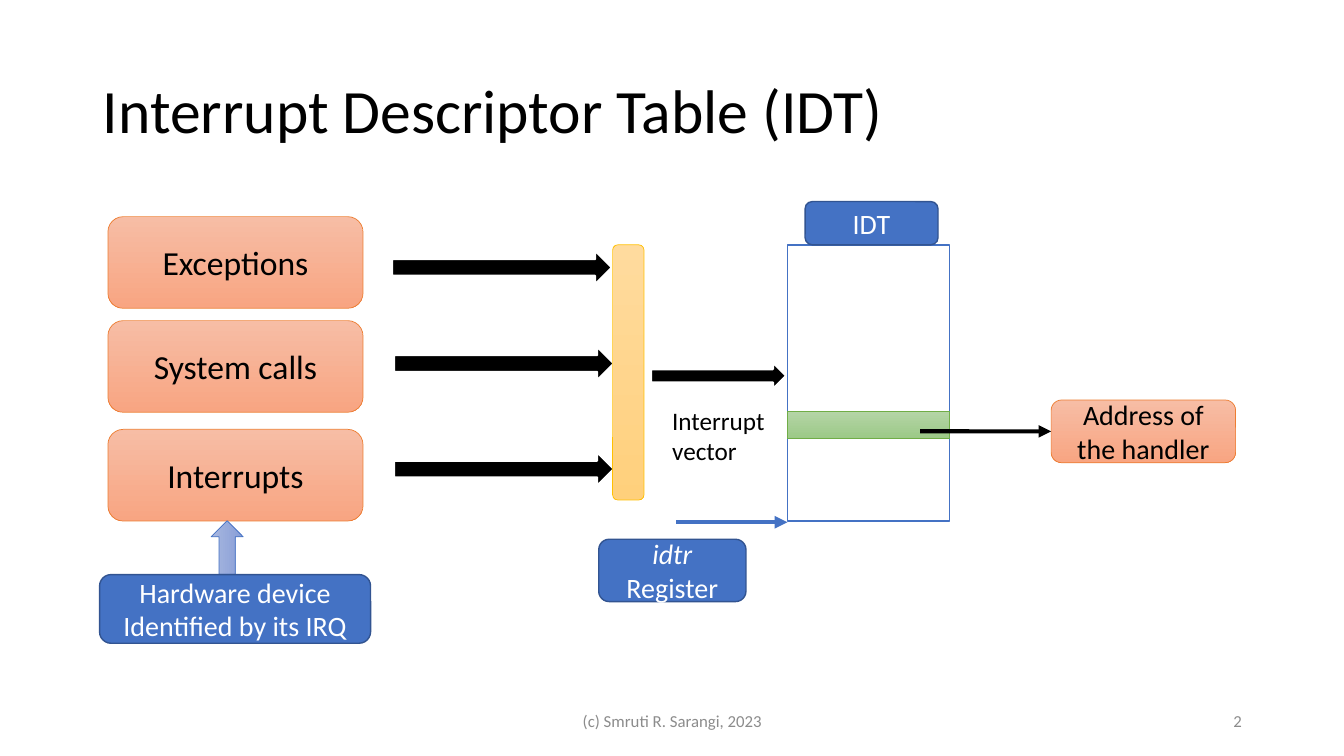
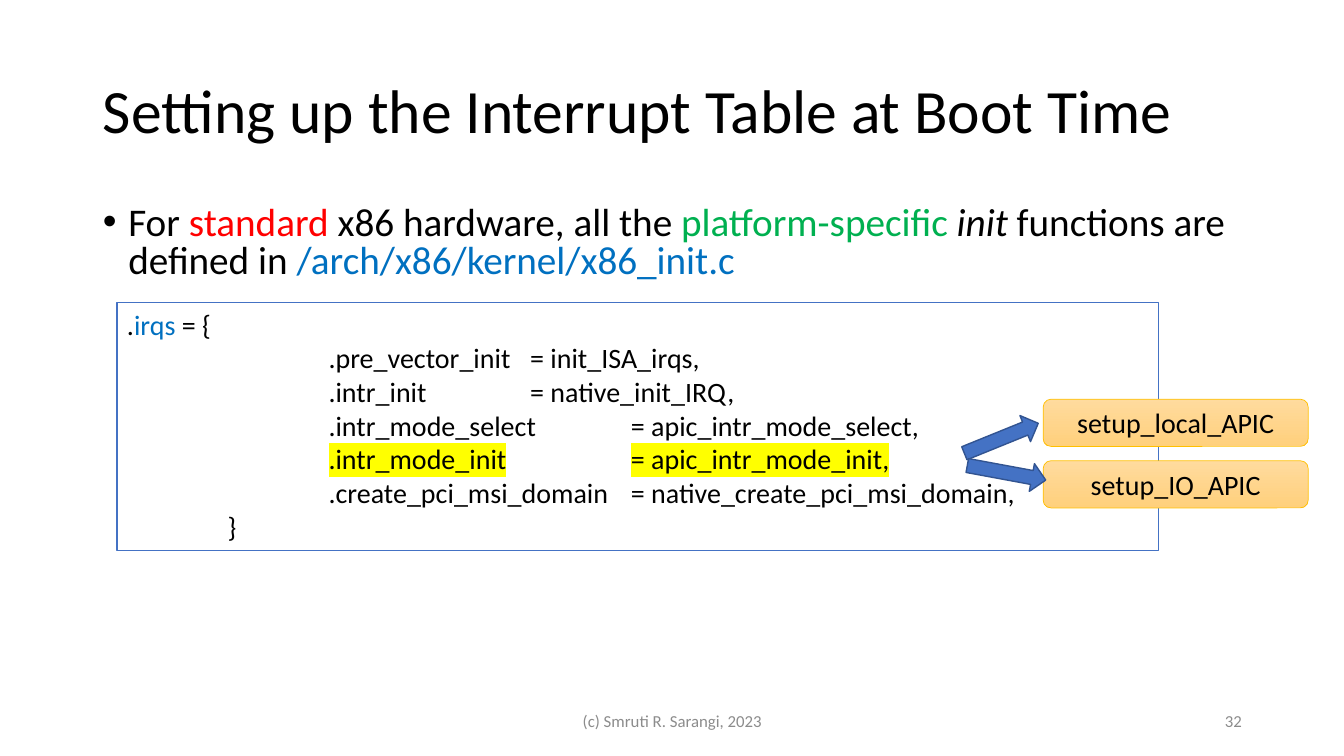
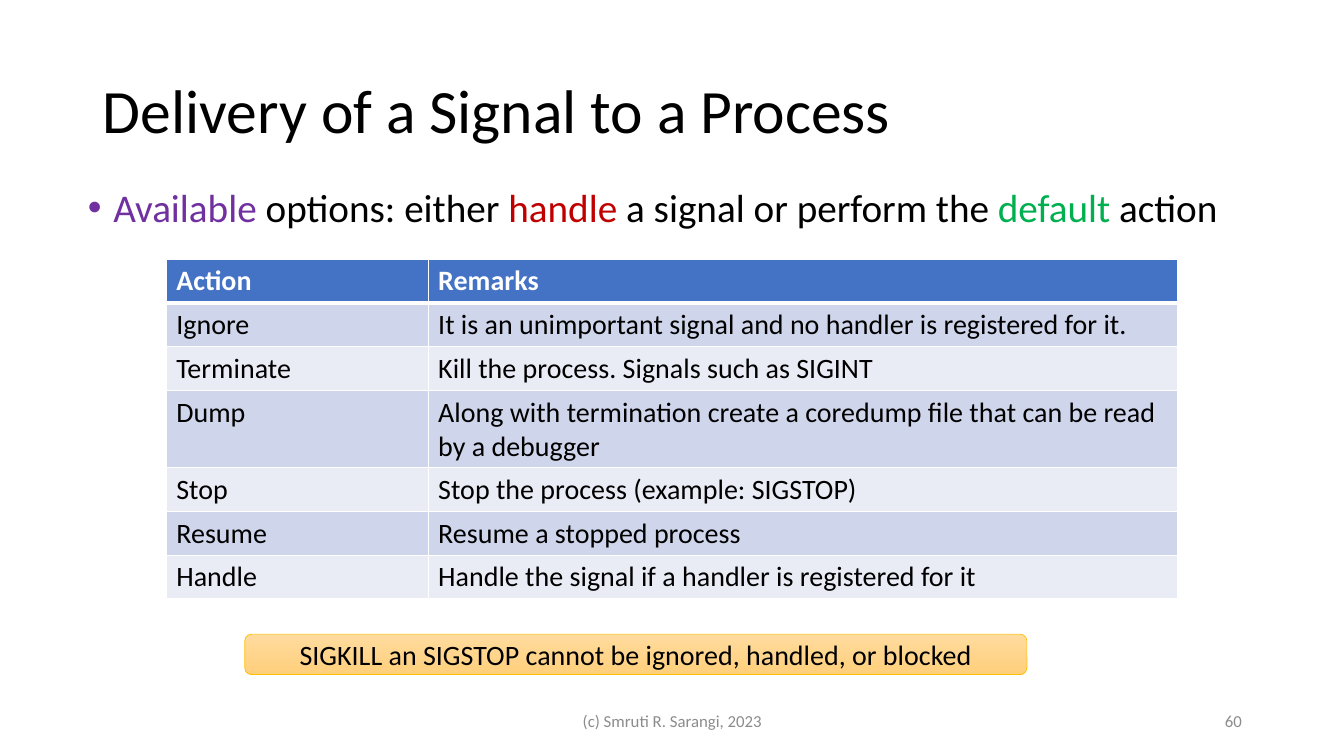
"""Builds three lecture slides on interrupts and signals."""
from lxml.etree import SubElement
from pptx import Presentation
from pptx.dml.color import RGBColor
from pptx.enum.shapes import MSO_CONNECTOR, MSO_SHAPE
from pptx.enum.text import MSO_ANCHOR, MSO_AUTO_SIZE, PP_ALIGN
from pptx.oxml.ns import qn
from pptx.util import Cm, Pt

FONT = "Calibri"
BLACK, WHITE, GREY = "000000", "FFFFFF", "8C8C8C"
BLUE, LINK, GREEN = "4472C4", "0070C0", "00B050"
STYLES = {
    "blue": ([BLUE], "325491", 1),
    "frame": ([WHITE], BLUE, 1),
    "black": ([BLACK], WHITE, 1.5),
    "orange": (["F7BDA5", "F8A582"], "ED7D31", 0.5),
    "yellow": (["FFDB9E", "FFD07C"], "FFC000", 0.5),
    "green": (["B5D5A7", "9CC987"], "70AD47", 0.5),
    "pale blue": (["A8B7DF", "889ED7"], BLUE, 0.5),
}
ROUND, RECT, ARROW = MSO_SHAPE.ROUNDED_RECTANGLE, MSO_SHAPE.RECTANGLE, MSO_SHAPE.RIGHT_ARROW


def add_runs(p, size, runs):
    for text, color, *marks in runs:
        r = p.add_run()
        r.text = text
        r.font.name = FONT
        r.font.size = Pt(size)
        r.font.bold = "bold" in marks
        r.font.italic = "italic" in marks
        r.font.color.rgb = RGBColor.from_string(color)


def add_box(s, kind, style, x, y, w, h, runs=(), size=20):
    colors, line, width = STYLES[style]
    sp = s.shapes.add_shape(kind, Cm(x), Cm(y), Cm(w), Cm(h))
    sp.shadow.inherit = False
    if len(colors) == 1:
        sp.fill.solid()
        sp.fill.fore_color.rgb = RGBColor.from_string(colors[0])
    else:
        sp.fill.gradient()
        sp.fill.gradient_angle = 270
        for stop, color in zip(sp.fill.gradient_stops, colors):
            stop.color.rgb = RGBColor.from_string(color)
    sp.line.color.rgb = RGBColor.from_string(line)
    sp.line.width = Pt(width)
    sp.text_frame.word_wrap = True
    sp.text_frame.vertical_anchor = MSO_ANCHOR.MIDDLE
    p = sp.text_frame.paragraphs[0]
    p.alignment = PP_ALIGN.CENTER
    add_runs(p, size, runs)
    return sp


prs = Presentation()
prs.slide_width, prs.slide_height = Cm(33.87), Cm(19.05)

for layout, title, number in [
    (5, "Interrupt Descriptor Table (IDT)", "2"),
    (1, "Setting up the Interrupt Table at Boot Time", "32"),
    (1, "Delivery of a Signal to a Process", "60"),
]:
    s = prs.slides.add_slide(prs.slide_layouts[layout])
    sp = s.shapes.title
    sp.left, sp.top, sp.width, sp.height = Cm(2.34), Cm(1.02), Cm(29.21), Cm(3.68)
    sp.text_frame.vertical_anchor = MSO_ANCHOR.MIDDLE
    p = sp.text_frame.paragraphs[0]
    p.alignment = PP_ALIGN.LEFT
    p.line_spacing = 0.9
    add_runs(p, 44, [(title, BLACK)])
    for x, w, align, text in [
        (11.23, 11.43, PP_ALIGN.CENTER, "(c) Smruti R. Sarangi, 2023"),
        (23.93, 7.62, PP_ALIGN.RIGHT, number),
    ]:
        tf = s.shapes.add_textbox(Cm(x), Cm(17.65), Cm(w), Cm(1.02)).text_frame
        tf.word_wrap = True
        tf.vertical_anchor = MSO_ANCHOR.MIDDLE
        tf.paragraphs[0].alignment = align
        add_runs(tf.paragraphs[0], 12, [(text, GREY)])

idt_slide, boot_slide, signal_slide = prs.slides

for s, x, y, h, spacing, runs in [
    (boot_slide, 2.34, 5.08, 2.36, 0.8, [
        ("For ", BLACK), ("standard", "FF0000"), (" x86 hardware, all the ", BLACK),
        ("platform-specific ", GREEN), ("init ", BLACK, "italic"),
        ("functions are defined in ", BLACK), ("/arch/x86/kernel/x86_init.c", LINK)]),
    (signal_slide, 1.96, 4.62, 1.52, 0.9, [
        ("Available", "7030A0"), (" options: either ", BLACK), ("handle", "C00000"),
        (" a signal or perform the ", BLACK), ("default", GREEN), (" action", BLACK)]),
]:
    sp = s.placeholders[1]
    sp.left, sp.top, sp.width, sp.height = Cm(x), Cm(y), Cm(29.21), Cm(h)
    sp.text_frame.auto_size = MSO_AUTO_SIZE.NONE
    p = sp.text_frame.paragraphs[0]
    p.line_spacing = spacing
    p.space_before = Pt(0)
    pPr = p._p.get_or_add_pPr()
    pPr.set("marL", str(Cm(0.64)))
    pPr.set("indent", str(-Cm(0.64)))
    SubElement(pPr, qn("a:buChar"), char="•")
    add_runs(p, 28, runs)

s = idt_slide
add_box(s, RECT, "frame", 19.84, 6.17, 4.09, 6.96)
add_box(s, ROUND, "blue", 20.29, 5.08, 3.35, 1.09, [("IDT", WHITE)])
add_box(s, ROUND, "blue", 15.09, 13.59, 3.71, 1.57,
        [("idtr", WHITE, "italic"), (" Register", WHITE)])
for text, y, arrow_x, arrow_y in [
    ("Exceptions", 5.46, 9.88, 6.32),
    ("System calls", 8.08, 9.93, 8.74),
    ("Interrupts", 10.82, 9.93, 11.4),
]:
    add_box(s, ROUND, "orange", 2.72, y, 6.43, 2.31, [(text, BLACK)], 24)
    add_box(s, ARROW, "black", arrow_x, arrow_y, 5.54, 0.84)
add_box(s, ROUND, "yellow", 15.44, 6.17, 0.79, 6.43)
add_box(s, ARROW, "black", 16.41, 9.14, 3.4, 0.66)
add_box(s, RECT, "green", 19.84, 10.36, 4.09, 0.69)
handler = add_box(s, ROUND, "orange", 26.49, 10.08, 4.65, 1.58,
                  [("Address of the handler", BLACK)])
add_box(s, ARROW, "pale blue", 5.05, 13.39, 1.35, 0.81).rotation = 270
add_box(s, ROUND, "blue", 2.51, 14.48, 6.83, 1.73,
        [("Hardware device Identified by its IRQ", WHITE)])

tf = s.shapes.add_textbox(Cm(16.69), Cm(10.08), Cm(2.87), Cm(1.8)).text_frame
add_runs(tf.paragraphs[0], 18, [("Interrupt", BLACK)])
add_runs(tf.add_paragraph(), 18, [("vector", BLACK)])

for x1, x2, y, color, target in [
    (17.04, 19.84, 13.16, BLUE, None),
    (23.19, 26.49, 10.87, BLACK, handler),
]:
    line = s.shapes.add_connector(MSO_CONNECTOR.STRAIGHT, Cm(x1), Cm(y), Cm(x2), Cm(y))
    if target:
        line.end_connect(target, 1)
    line.line.color.rgb = RGBColor.from_string(color)
    line.line.width = Pt(3)
    SubElement(line.line._get_or_add_ln(), qn("a:tailEnd"), type="triangle")
    SubElement(line._element.spPr, qn("a:effectLst"))

s = boot_slide
tf = add_box(s, RECT, "frame", 2.95, 7.62, 26.24, 6.25).text_frame
tf.vertical_anchor = MSO_ANCHOR.TOP
for i, runs in enumerate([
    [(".", BLACK), ("irqs", LINK), (" = {", BLACK)],
    [("\t\t.pre_vector_init\t= init_ISA_irqs,", BLACK)],
    [("\t\t.intr_init\t\t= native_init_IRQ,", BLACK)],
    [("\t\t.intr_mode_select\t= apic_intr_mode_select,", BLACK)],
    [("\t\t.intr_mode_init\t\t= apic_intr_mode_init,", BLACK, "highlight")],
    [("\t\t.create_pci_msi_domain\t= native_create_pci_msi_domain,", BLACK)],
    [("\t}", BLACK)],
]):
    p = tf.add_paragraph() if i else tf.paragraphs[0]
    p.alignment = PP_ALIGN.LEFT
    tabs = SubElement(p._p.get_or_add_pPr(), qn("a:tabLst"))
    for stop in range(1, 7):
        SubElement(tabs, qn("a:tab"), pos=str(Cm(2.54 * stop)), algn="l")
    add_runs(p, 20, runs)
    if "highlight" in runs[0]:
        rPr = p.runs[0].font._element
        highlight = SubElement(rPr, qn("a:highlight"))
        SubElement(highlight, qn("a:srgbClr"), val="FFFF00")
        rPr.find(qn("a:solidFill")).addnext(highlight)

for text, y, arrow_x, arrow_y, angle in [
    ("setup_local_APIC", 10.06, 24.23, 10.69, 337.9),
    ("setup_IO_APIC", 11.61, 24.36, 11.56, 10.5),
]:
    add_box(s, ROUND, "yellow", 26.29, y, 6.68, 1.19, [(text, BLACK)])
    add_box(s, ARROW, "blue", arrow_x, arrow_y, 2.01, 0.71).rotation = angle

s = signal_slide
rows = [
    ("Action", "Remarks"),
    ("Ignore", "It is an unimportant signal and no handler is registered for it."),
    ("Terminate", "Kill the process. Signals such as SIGINT"),
    ("Dump", "Along with termination create a coredump file that can be read by a debugger"),
    ("Stop", "Stop the process (example: SIGSTOP)"),
    ("Resume", "Resume a stopped process"),
    ("Handle", "Handle the signal if a handler is registered for it"),
]
table = s.shapes.add_table(len(rows), 2, Cm(4.19), Cm(6.53), Cm(25.5), Cm(7.28)).table
table.columns[0].width, table.columns[1].width = Cm(6.6), Cm(18.9)
for i, row in enumerate(rows):
    fill = BLUE if i == 0 else ("E9EBF5", "CFD5EA")[i % 2]
    for j, text in enumerate(row):
        cell = table.cell(i, j)
        for side in ("lnL", "lnR", "lnT", "lnB"):
            thick = (i, side) in [(0, "lnB"), (1, "lnT")]
            ln = SubElement(cell._tc.get_or_add_tcPr(), qn("a:" + side), w=str(Pt(3 if thick else 1)))
            SubElement(SubElement(ln, qn("a:solidFill")), qn("a:srgbClr"), val=WHITE)
        cell.fill.solid()
        cell.fill.fore_color.rgb = RGBColor.from_string(fill)
        run = (text, BLACK) if i else (text, WHITE, "bold")
        add_runs(cell.text_frame.paragraphs[0], 20, [run])
add_box(s, ROUND, "yellow", 6.17, 15.98, 19.71, 1.02,
        [("SIGKILL an SIGSTOP cannot be ignored, handled, or blocked", BLACK)])

prs.save("out.pptx")
